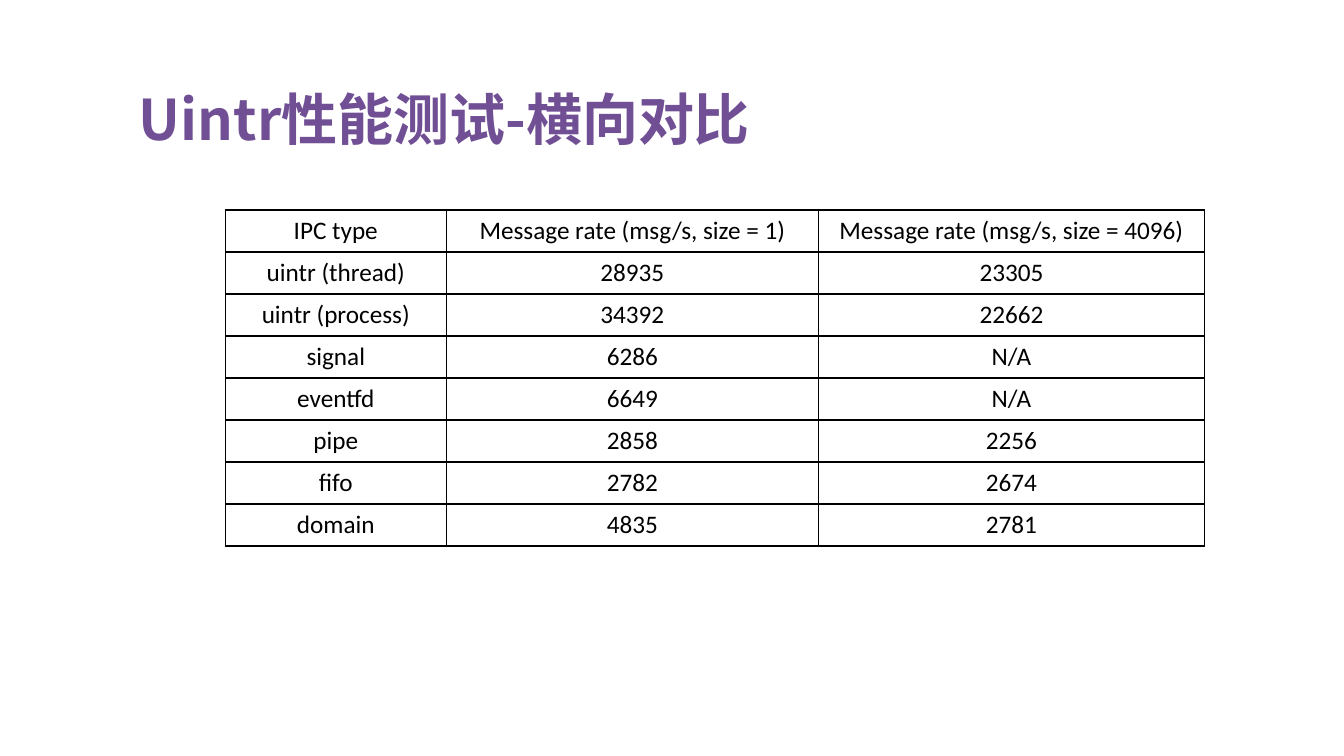
"""Build the slide comparing Uintr message rates with other IPC types."""
from lxml import etree
from pptx import Presentation
from pptx.dml.color import RGBColor
from pptx.enum.text import MSO_ANCHOR, PP_ALIGN
from pptx.oxml.ns import qn
from pptx.util import Pt

CENTER = PP_ALIGN.CENTER
TOP, MIDDLE = MSO_ANCHOR.TOP, MSO_ANCHOR.MIDDLE
COLORS = {"title": "704F95", "ink": "000000", "cell": "FFFFFF"}
TITLE_FONT, TABLE_FONT = "Noto Sans CJK SC", "Calibri"
ROW_HEIGHT = 30
COLUMN_WIDTHS = [157.7, 266, 275.6]
RATES = [
    ("IPC type", "Message rate (msg/s, size = 1)", "Message rate (msg/s, size = 4096)"),
    ("uintr (thread)", "28935", "23305"),
    ("uintr (process)", "34392", "22662"),
    ("signal", "6286", "N/A"),
    ("eventfd", "6649", "N/A"),
    ("pipe", "2858", "2256"),
    ("fifo", "2782", "2674"),
    ("domain", "4835", "2781"),
]


def add_run(paragraph, text, font_name, size, color, bold):
    run = paragraph.add_run()
    run.text = text
    run.font.name = font_name
    run.font.size = Pt(size)
    run.font.bold = bold
    run.font.color.rgb = RGBColor.from_string(COLORS[color])
    etree.SubElement(run.font._element, qn("a:ea"), typeface=font_name)


def add_borders(cell):
    properties = cell._tc.get_or_add_tcPr()
    for side in ("a:lnL", "a:lnR", "a:lnT", "a:lnB"):
        border = etree.SubElement(properties, qn(side), w=str(Pt(1)))
        ink = etree.SubElement(border, qn("a:solidFill"))
        etree.SubElement(ink, qn("a:srgbClr"), val=COLORS["ink"])


prs = Presentation()
prs.slide_width, prs.slide_height = Pt(960), Pt(540)
slide = prs.slides.add_slide(prs.slide_layouts[6])

title = slide.shapes.add_textbox(Pt(92.2), Pt(62.6), Pt(789.8), Pt(75.6)).text_frame
title.word_wrap = True
title.vertical_anchor = TOP
title.paragraphs[0].line_spacing = 0.9
add_run(title.paragraphs[0], "Uintr性能测试-横向对比", TITLE_FONT, 40, "title", True)

rate_table = slide.shapes.add_table(
    len(RATES), len(COLUMN_WIDTHS), Pt(161), Pt(150),
    Pt(sum(COLUMN_WIDTHS)), Pt(ROW_HEIGHT * len(RATES)),
).table
for column, width in zip(rate_table.columns, COLUMN_WIDTHS):
    column.width = Pt(width)
for row_index, row in enumerate(RATES):
    rate_table.rows[row_index].height = Pt(ROW_HEIGHT)
    for column_index, text in enumerate(row):
        cell = rate_table.cell(row_index, column_index)
        cell.vertical_anchor = MIDDLE
        add_borders(cell)
        cell.fill.solid()
        cell.fill.fore_color.rgb = RGBColor.from_string(COLORS["cell"])
        paragraph = cell.text_frame.paragraphs[0]
        paragraph.alignment = CENTER
        add_run(paragraph, text, TABLE_FONT, 18, "ink", False)

prs.save("out.pptx")
